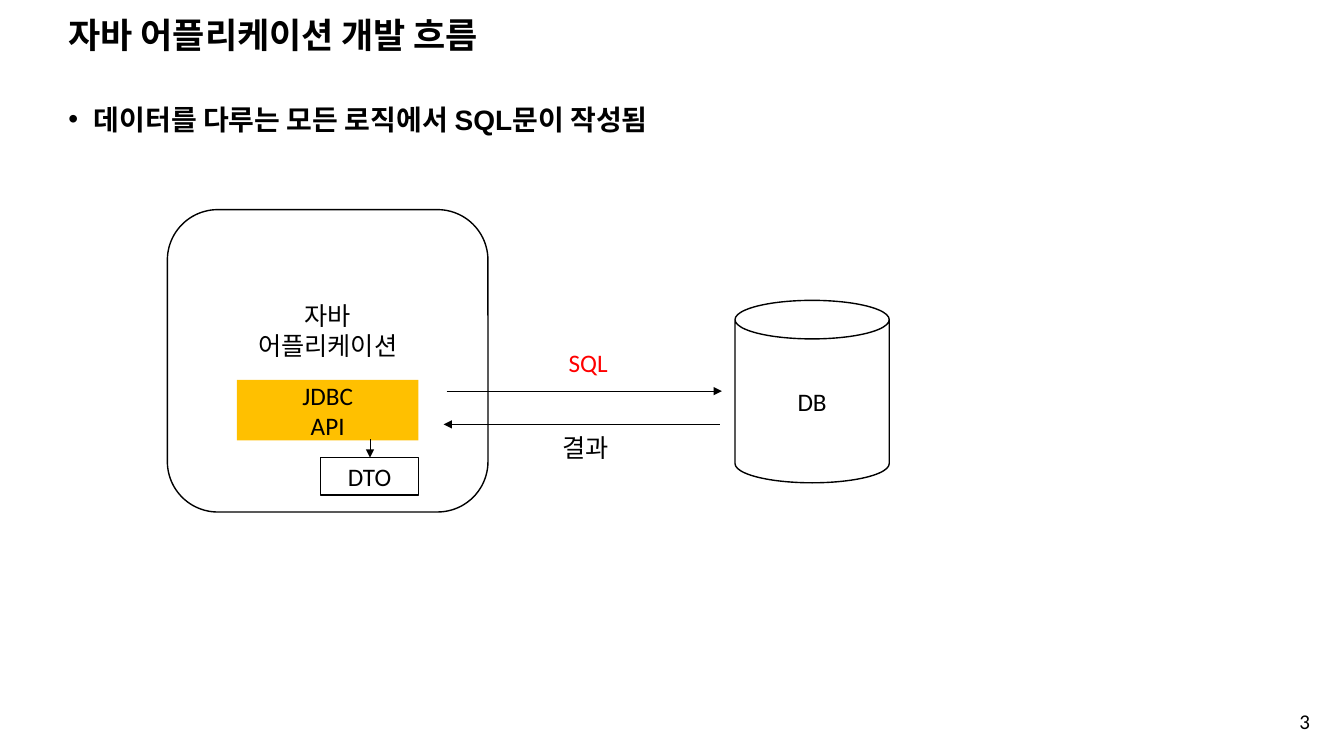
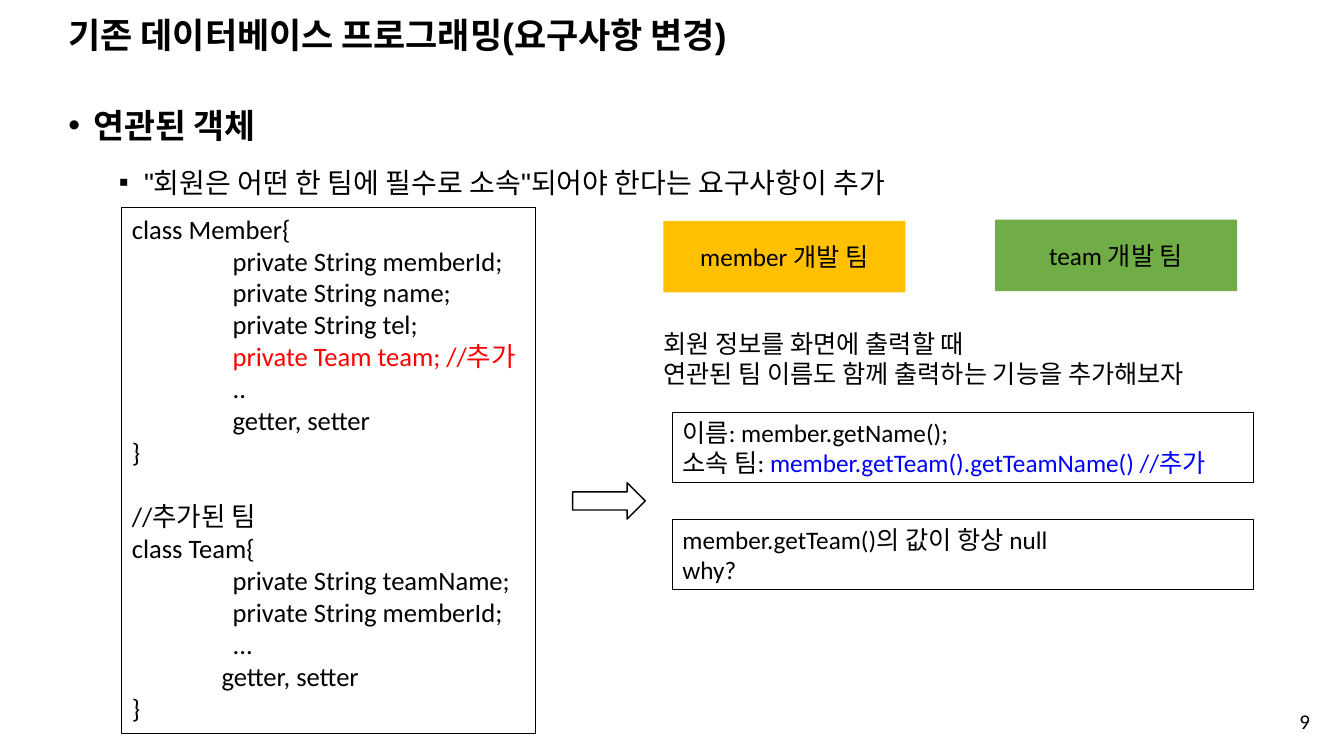
from dataclasses import dataclass

from lxml.etree import SubElement
from pptx import Presentation
from pptx.dml.color import RGBColor
from pptx.enum.shapes import MSO_CONNECTOR, MSO_SHAPE
from pptx.enum.text import MSO_ANCHOR, MSO_AUTO_SIZE, PP_ALIGN
from pptx.oxml.ns import qn
from pptx.util import Inches, Pt

BLACK, WHITE, RED, BLUE = "000000", "FFFFFF", "FF0000", "0000FF"
AMBER, GREEN = "FFC000", "70AD47"


def color(value):
    return RGBColor.from_string(value)


@dataclass
class Line:
    """One paragraph: text, an optional coloured ending and its spacing."""
    text: str
    ending: str = ""
    color: str = BLACK
    indent: float = 0
    before: float = 0


class SlideBuilder:
    heading_font = "Arial"
    body_font = "Calibri"

    def __init__(self):
        self.deck = Presentation()
        self.deck.slide_width = Inches(13.33)
        self.deck.slide_height = Inches(7.5)
        self.page = None

    def span(self, para, text, size, font=body_font, ink=BLACK, bold=False):
        span = para.add_run()
        span.text = text
        span.font.size = Pt(size)
        span.font.name = font
        span.font.bold = bold
        span.font.color.rgb = color(ink)

    def fill_text(self, frame, lines, size, align=PP_ALIGN.LEFT):
        for index, line in enumerate(lines):
            if isinstance(line, str):
                line = Line(line)
            para = frame.paragraphs[0] if index == 0 else frame.add_paragraph()
            para.alignment = align
            para.space_before = Pt(line.before)
            if line.indent:
                para._p.get_or_add_pPr().set("marL", str(Inches(line.indent)))
            if line.ending:
                self.span(para, line.text, size)
                self.span(para, line.ending, size, ink=line.color)
            else:
                self.span(para, line.text, size, ink=line.color)

    def new_page(self, title, number):
        self.page = self.deck.slides.add_slide(self.deck.slide_layouts[5])
        box = self.page.shapes.title
        box.left, box.top = Inches(0.58), Inches(0.18)
        box.width, box.height = Inches(11.5), Inches(0.38)
        frame = box.text_frame
        frame.auto_size = MSO_AUTO_SIZE.NONE
        frame.vertical_anchor = MSO_ANCHOR.MIDDLE
        para = frame.paragraphs[0]
        para.alignment = PP_ALIGN.LEFT
        para.line_spacing = 0.9
        self.span(para, title, 25, self.heading_font, bold=True)
        # Page number
        self.text([number], 10.09, 6.95, 3, 0.4, size=15,
                  align=PP_ALIGN.RIGHT, anchor=MSO_ANCHOR.MIDDLE)

    def text(self, lines, left, top, width, height, size=18, wrap=True,
             align=PP_ALIGN.LEFT, anchor=MSO_ANCHOR.TOP):
        box = self.page.shapes.add_textbox(
            Inches(left), Inches(top), Inches(width), Inches(height))
        frame = box.text_frame
        frame.word_wrap = wrap
        frame.vertical_anchor = anchor
        self.fill_text(frame, lines, size, align)
        return frame

    def bullets(self, heading, size, detail=None):
        frame = self.text([], 0.58, 0.83, 12.39, 6.52)
        items = [(heading, size, True, "•", 0.25, 10)]
        if detail:
            items.append((detail, 20, False, "▪", 0.75, 5))
        for index, (text, points, bold, mark, margin, before) in enumerate(items):
            para = frame.paragraphs[0] if index == 0 else frame.add_paragraph()
            para.line_spacing = 1.4
            para.space_before = Pt(before)
            properties = para._p.get_or_add_pPr()
            properties.set("marL", str(Inches(margin)))
            properties.set("indent", str(Inches(-0.25)))
            SubElement(properties, qn("a:buFont"), typeface=self.heading_font)
            SubElement(properties, qn("a:buChar"), char=mark)
            self.span(para, text, points, self.heading_font, bold=bold)

    def shape(self, kind, left, top, width, height, lines=(), fill=None,
              border=1, size=18, align=PP_ALIGN.CENTER,
              anchor=MSO_ANCHOR.MIDDLE):
        shape = self.page.shapes.add_shape(
            kind, Inches(left), Inches(top), Inches(width), Inches(height))
        shape.shadow.inherit = False
        if fill:
            shape.fill.solid()
            shape.fill.fore_color.rgb = color(fill)
        else:
            shape.fill.background()
        if border:
            shape.line.color.rgb = color(BLACK)
            shape.line.width = Pt(border)
        else:
            shape.line.fill.background()
        frame = shape.text_frame
        frame.word_wrap = True
        frame.vertical_anchor = anchor
        self.fill_text(frame, lines, size, align)
        return frame

    def panel(self, lines, left, top, width, height, size=18):
        return self.shape(MSO_SHAPE.RECTANGLE, left, top, width, height, lines,
                          border=0.75, size=size, align=PP_ALIGN.LEFT,
                          anchor=MSO_ANCHOR.TOP)

    def arrow(self, x1, y1, x2, y2):
        arrow = self.page.shapes.add_connector(
            MSO_CONNECTOR.STRAIGHT,
            Inches(x1), Inches(y1), Inches(x2), Inches(y2))
        arrow.line.color.rgb = color(BLACK)
        arrow.line.width = Pt(0.5)
        SubElement(arrow.line._get_or_add_ln(), qn("a:tailEnd"), type="triangle")
        SubElement(arrow._element.spPr, qn("a:effectLst"))


def flow_page(builder):
    builder.new_page("자바 어플리케이션 개발 흐름", "3")
    builder.bullets("데이터를 다루는 모든 로직에서 SQL문이 작성됨", 20)

    # Application and database
    application = builder.shape(MSO_SHAPE.ROUNDED_RECTANGLE, 1.66, 2.08, 3.18, 3,
                                ["자바", "어플리케이션"])
    application.margin_bottom = Inches(0.65)
    builder.shape(MSO_SHAPE.CAN, 7.29, 2.98, 1.53, 1.81, ["DB"], fill=WHITE)
    builder.shape(MSO_SHAPE.RECTANGLE, 2.35, 3.77, 1.8, 0.6, ["JDBC", "API"],
                  fill=AMBER, border=0)
    builder.shape(MSO_SHAPE.RECTANGLE, 3.18, 4.54, 0.97, 0.37, ["DTO"])

    # Query, result and transfer object
    builder.arrow(4.43, 3.88, 7.16, 3.88)
    builder.arrow(7.14, 4.21, 4.4, 4.21)
    builder.arrow(3.67, 4.36, 3.67, 4.54)
    builder.text([Line("SQL", color=RED)], 5.54, 3.4, 0.59, 0.4, wrap=False)
    builder.text(["결과"], 5.48, 4.24, 0.71, 0.4, wrap=False)


def change_page(builder):
    builder.new_page("기존 데이터베이스 프로그래밍(요구사항 변경)", "9")
    builder.bullets("연관된 객체", 24,
                    '"회원은 어떤 한 팀에 필수로 소속"되어야 한다는 요구사항이 추가')

    # Class listing
    code = builder.panel([
        "class Member{",
        Line("private String memberId;", indent=1),
        Line("private String name;", indent=1),
        Line("private String tel;", indent=1),
        Line("private Team team; //추가", color=RED, indent=1),
        Line("..", indent=1),
        Line("getter, setter", indent=1),
        "}",
        Line("//추가된 팀", before=23),
        "class Team{",
        Line("private String teamName;", indent=1),
        Line("private String memberId;", indent=1),
        Line("...", indent=1),
        Line("getter, setter", indent=0.89),
        "}",
    ], 1.21, 2.06, 4.1, 5.22, size=19)
    code.margin_right = 0

    # Teams
    for name, left, top, fill in [("member 개발 팀", 6.58, 2.19, AMBER),
                                  ("team 개발 팀", 9.87, 2.18, GREEN)]:
        builder.shape(MSO_SHAPE.RECTANGLE, left, top, 2.4, 0.71, [name],
                      fill=fill, border=0)

    # New feature and its problem
    builder.text(["회원 정보를 화면에 출력할 때",
                  "연관된 팀 이름도 함께 출력하는 기능을 추가해보자"],
                 6.48, 3.21, 5.85, 0.71)
    builder.shape(MSO_SHAPE.RIGHT_ARROW, 5.68, 4.79, 0.72, 0.36, fill=WHITE)
    builder.panel(["이름: member.getName();",
                   Line("소속 팀: ", "member.getTeam().getTeamName() //추가", BLUE)],
                  6.67, 4.09, 5.76, 0.7)
    builder.panel(["member.getTeam()의 값이 항상 null", "why?"],
                  6.67, 5.15, 5.76, 0.7)


def main():
    builder = SlideBuilder()
    flow_page(builder)
    change_page(builder)
    builder.deck.save("out.pptx")


if __name__ == "__main__":
    main()
